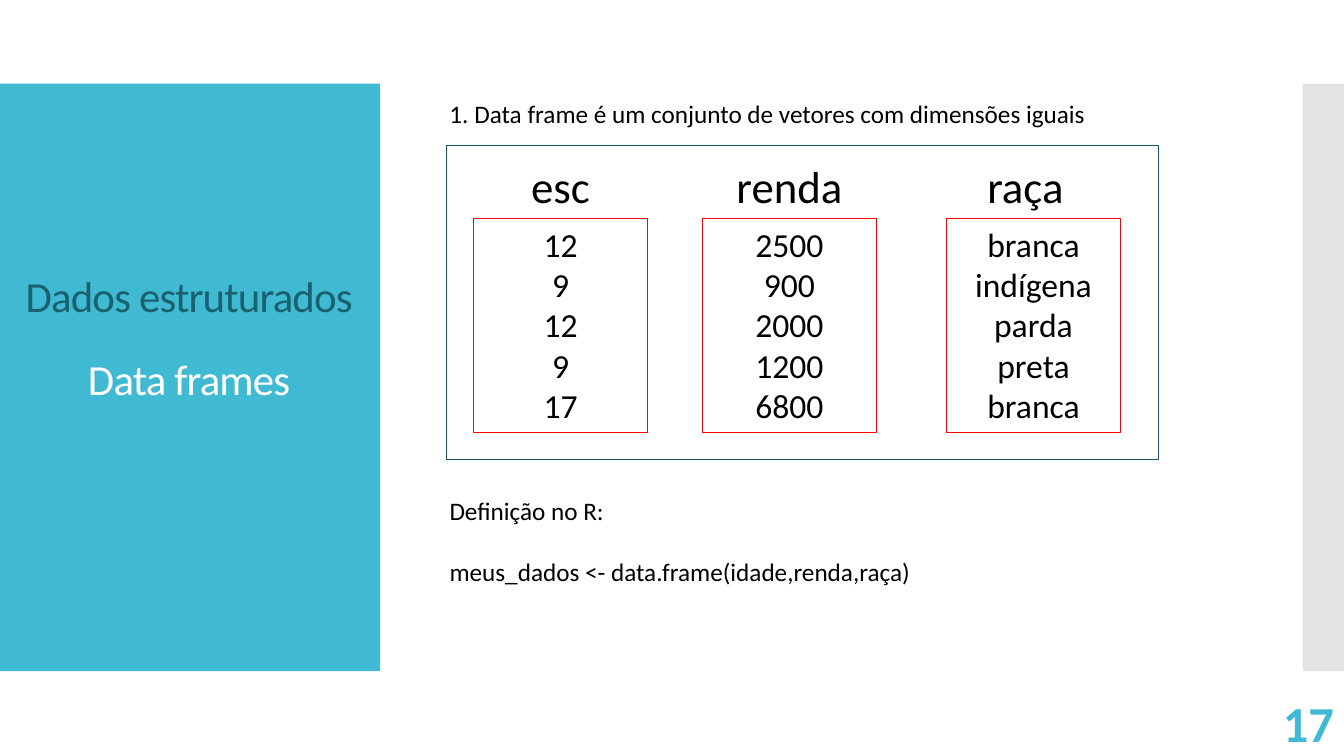
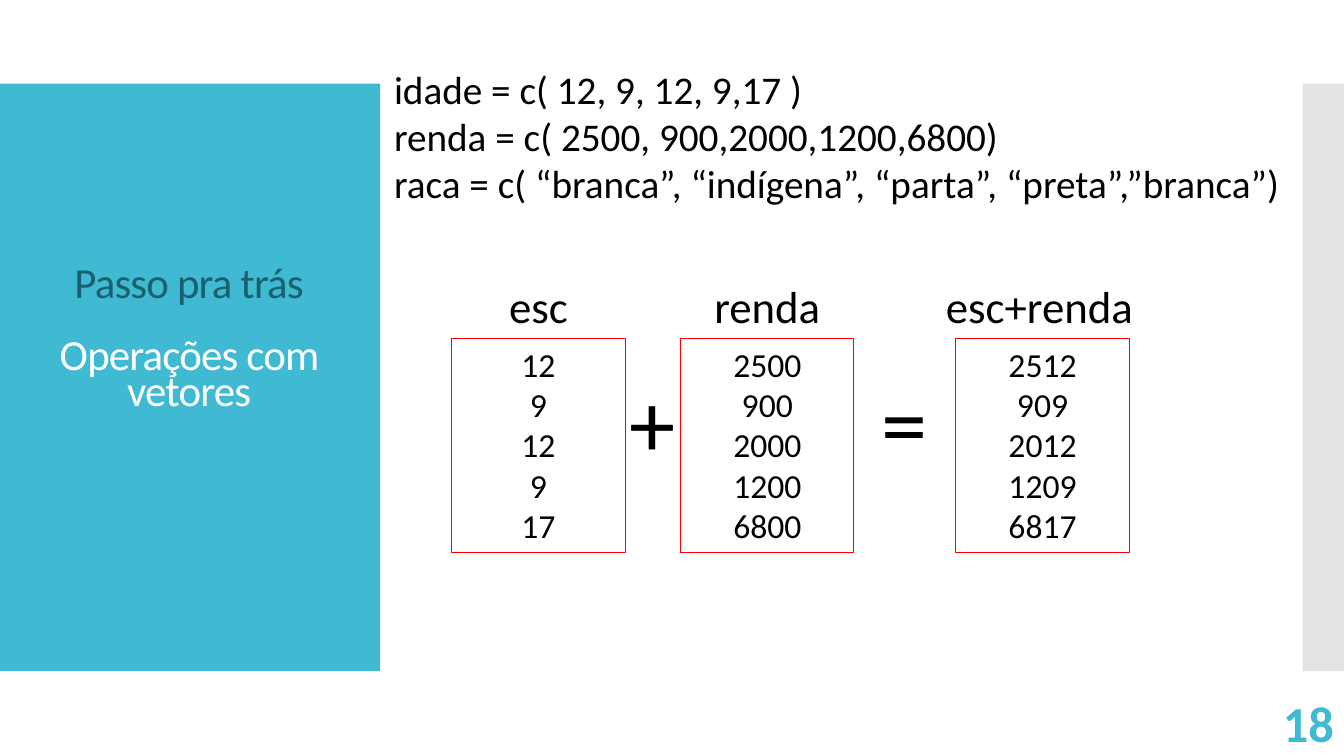
from dataclasses import dataclass

from lxml import etree
from pptx import Presentation
from pptx.dml.color import RGBColor
from pptx.enum.shapes import MSO_SHAPE
from pptx.enum.text import MSO_ANCHOR, MSO_AUTO_SIZE, PP_ALIGN
from pptx.oxml.ns import qn
from pptx.shapes.autoshape import Shape
from pptx.slide import Slide
from pptx.util import Inches, Pt

RECTANGLE = MSO_SHAPE.RECTANGLE
TOP, MIDDLE = MSO_ANCHOR.TOP, MSO_ANCHOR.MIDDLE
LEFT, CENTER, RIGHT = PP_ALIGN.LEFT, PP_ALIGN.CENTER, PP_ALIGN.RIGHT
FIT_SHAPE, NO_FIT = MSO_AUTO_SIZE.SHAPE_TO_FIT_TEXT, MSO_AUTO_SIZE.NONE


@dataclass(frozen=True)
class Theme:
    font: str = "Calibri"
    accent: str = "40BAD2"
    accent_dark: str = "1A616F"
    frame: str = "1C525C"
    band: str = "C8C8C8"
    vector: str = "FF0000"
    ink: str = "000000"
    paper: str = "FFFFFF"
    note: float = 18
    value: float = 24
    code: float = 28
    title: float = 30.6
    heading: float = 32
    page: float = 36
    operator: float = 66


THEME = Theme()


@dataclass(frozen=True)
class Box:
    left: float
    top: float
    width: float
    height: float


@dataclass(frozen=True)
class Line:
    text: str
    color: str = THEME.ink
    gap_before: float = 0


@dataclass(frozen=True)
class Style:
    size: float
    align: PP_ALIGN = LEFT
    anchor: MSO_ANCHOR = TOP
    wrap: bool = True
    fit: MSO_AUTO_SIZE = FIT_SHAPE
    bold: bool = False
    line_spacing: float = 1.0
    tracking: int = 0


@dataclass(frozen=True)
class Vector:
    name: str
    values: tuple[str, ...]
    left: float
    name_shift: float = 0


NOTE = Style(THEME.note, wrap=False)
CODE = Style(THEME.code, wrap=False)
OPERATOR = Style(THEME.operator, wrap=False)
HEADING = Style(THEME.heading, CENTER)
VALUES = Style(THEME.value, CENTER)
PAGE = Style(THEME.page, RIGHT, MIDDLE, fit=NO_FIT, bold=True)

VECTOR_WIDTH, VECTOR_HEIGHT = 1.72, 2.12
NAME_WIDTH, NAME_HEIGHT = 2.12, 0.64
SCHOOLING = ("12", "9", "12", "9", "17")
INCOME = ("2500", "900", "2000", "1200", "6800")
RACE = ("branca", "indígena", "parda", "preta", "branca")
TOTAL = ("2512", "909", "2012", "1209", "6817")


def emu(box: Box) -> tuple[int, int, int, int]:
    return Inches(box.left), Inches(box.top), Inches(box.width), Inches(box.height)


def write(shape: Shape, lines: list[Line], style: Style) -> None:
    frame = shape.text_frame
    frame.word_wrap = style.wrap
    frame.auto_size = style.fit
    frame.vertical_anchor = style.anchor
    for index, line in enumerate(lines):
        paragraph = frame.add_paragraph() if index else frame.paragraphs[0]
        paragraph.alignment = style.align
        paragraph.line_spacing = style.line_spacing
        paragraph.space_before = Pt(line.gap_before)
        run = paragraph.add_run()
        run.text = line.text
        run.font.name = THEME.font
        run.font.size = Pt(style.size)
        run.font.bold = style.bold
        run.font.color.rgb = RGBColor.from_string(line.color)
        if style.tracking:
            run.font._element.set("spc", str(style.tracking))


def add_text(slide: Slide, box: Box, lines: list[Line], style: Style) -> None:
    write(slide.shapes.add_textbox(*emu(box)), lines, style)


def add_band(slide: Slide, box: Box, color: str, opacity: int = 100) -> None:
    band = slide.shapes.add_shape(RECTANGLE, *emu(box))
    band.shadow.inherit = False
    band.line.fill.background()
    band.fill.solid()
    band.fill.fore_color.rgb = RGBColor.from_string(color)
    if opacity < 100:
        tint = band.fill._xPr.find(qn("a:solidFill"))[0]
        etree.SubElement(tint, qn("a:alpha")).set("val", str(opacity * 1000))


def add_outline(slide: Slide, box: Box, color: str, weight: float) -> Shape:
    outline = slide.shapes.add_shape(RECTANGLE, *emu(box))
    outline.shadow.inherit = False
    outline.fill.background()
    outline.line.color.rgb = RGBColor.from_string(color)
    outline.line.width = Pt(weight)
    return outline


def add_vector(slide: Slide, vector: Vector, top: float) -> None:
    name_left = vector.left + (VECTOR_WIDTH - NAME_WIDTH) / 2 + vector.name_shift
    name_box = Box(name_left, top - NAME_HEIGHT, NAME_WIDTH, NAME_HEIGHT)
    add_text(slide, name_box, [Line(vector.name)], HEADING)
    values_box = Box(vector.left, top, VECTOR_WIDTH, VECTOR_HEIGHT)
    outline = add_outline(slide, values_box, THEME.vector, 0.75)
    write(outline, [Line(value) for value in vector.values], VALUES)


def start_slide(deck: Presentation, topic: str, subject: str, page: int,
                line_spacing: float, title_gap: float) -> Slide:
    slide = deck.slides.add_slide(deck.slide_layouts[6])
    add_band(slide, Box(0, 0.83, 3.77, 5.83), THEME.accent)
    add_band(slide, Box(12.92, 0.83, 0.42, 5.83), THEME.band, 50)
    title = [Line(topic, THEME.accent_dark), Line(subject, THEME.paper, title_gap)]
    title_style = Style(THEME.title, CENTER, MIDDLE, fit=NO_FIT,
                        line_spacing=line_spacing, tracking=-60)
    add_text(slide, Box(0, 2.6, 3.75, 1.58), title, title_style)
    add_text(slide, Box(11.66, 6.97, 1.67, 0.4), [Line(str(page), THEME.accent)], PAGE)
    return slide


def build_data_frames(deck: Presentation) -> None:
    slide = start_slide(deck, "Dados estruturados", "Data frames", 17, 0.8, 29.5)
    definition = "1. Data frame é um conjunto de vetores com dimensões iguais"
    add_text(slide, Box(4.36, 0.93, 6.74, 0.4), [Line(definition)], NOTE)
    syntax = [
        Line("Definição no R:"),
        Line("meus_dados <- data.frame(idade,renda,raça)", gap_before=22),
    ]
    add_text(slide, Box(4.36, 4.86, 4.91, 1.01), syntax, NOTE)
    for vector in (
        Vector("esc", SCHOOLING, 4.7),
        Vector("renda", INCOME, 6.97),
        Vector("raça", RACE, 9.39, -0.08),
    ):
        add_vector(slide, vector, 2.17)
    add_outline(slide, Box(4.43, 1.44, 7.06, 3.12), THEME.frame, 0.85)


def build_vector_operations(deck: Presentation) -> None:
    slide = start_slide(deck, "Passo pra trás", "Operações com vetores", 18, 0.7, 26)
    for vector in (
        Vector("esc", SCHOOLING, 4.48),
        Vector("renda", INCOME, 6.75),
        Vector("esc+renda", TOTAL, 9.48, -0.03),
    ):
        add_vector(slide, vector, 3.36)
    for operator, left in (("+", 6.14), ("=", 8.64)):
        add_text(slide, Box(left, 3.57, 0.68, 1.21), [Line(operator)], OPERATOR)
    assignments = [
        Line("idade = c( 12, 9, 12, 9,17 )"),
        Line("renda = c( 2500, 900,2000,1200,6800)"),
        Line("raca = c( “branca”, “indígena”, “parta”, “preta”,”branca”)"),
    ]
    add_text(slide, Box(3.81, 0.6, 9.26, 1.51), assignments, CODE)


def main() -> None:
    deck = Presentation()
    deck.slide_width = Inches(13.33)
    deck.slide_height = Inches(7.5)
    build_data_frames(deck)
    build_vector_operations(deck)
    deck.save("out.pptx")


if __name__ == "__main__":
    main()
